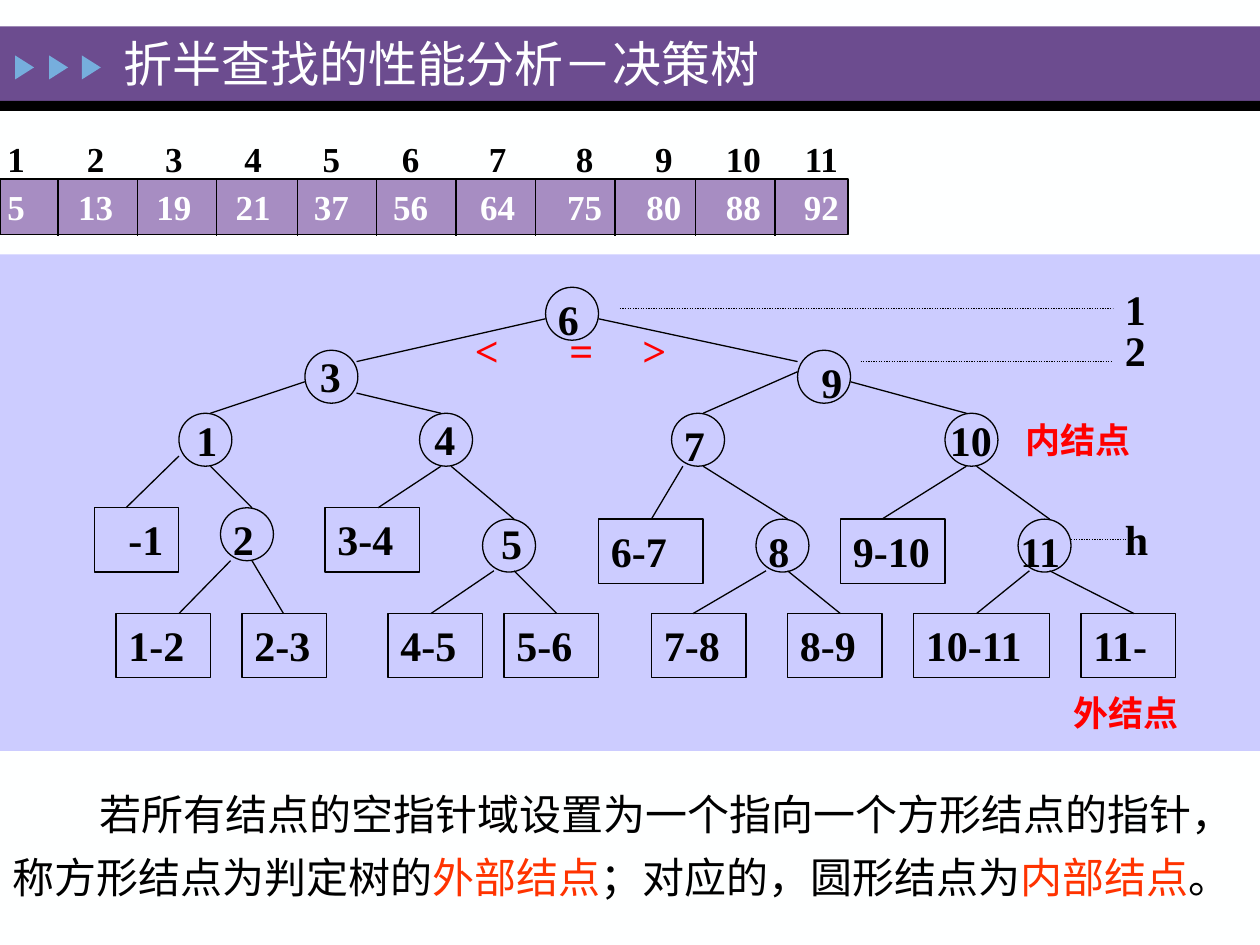
from typing import NamedTuple

from pptx import Presentation
from pptx.dml.color import RGBColor
from pptx.enum.dml import MSO_LINE
from pptx.enum.shapes import MSO_CONNECTOR, MSO_SHAPE
from pptx.enum.text import MSO_ANCHOR, MSO_AUTO_SIZE, PP_ALIGN
from pptx.oxml.ns import qn
from pptx.util import Inches, Pt
from lxml.etree import SubElement

FONT = "Times New Roman"
BLACK, WHITE, RED, ORANGE = "000000", "FEFFFF", "FF0000", "FF3300"
DIAMETER = 0.42


class Node(NamedTuple):
    """Inner node: circle corner, then the corner of its key's box."""
    key: str
    x: float
    y: float
    key_x: float
    key_y: float


class Leaf(NamedTuple):
    text: str
    x: float
    y: float
    width: float
    indent: float = 0


class Label(NamedTuple):
    text: str
    x: float
    y: float
    size: int = 24
    color: str = BLACK


class Line(NamedTuple):
    x1: float
    y1: float
    x2: float
    y2: float


NODES = [
    Node("6", 4.33, 2.28, 4.33, 2.28), Node("3", 2.42, 2.78, 2.44, 2.73),
    Node("9", 6.33, 2.78, 6.42, 2.78), Node("1", 1.42, 3.28, 1.46, 3.24),
    Node("4", 3.33, 3.28, 3.35, 3.23), Node("7", 5.33, 3.28, 5.33, 3.28),
    Node("10", 7.5, 3.28, 7.44, 3.24), Node("2", 1.75, 4.03, 1.75, 4.03),
    Node("5", 3.83, 4.12, 3.88, 4.06), Node("8", 6, 4.12, 6, 4.12),
    Node("11", 8.08, 4.12, 8, 4.12),
]
LEAVES = [
    Leaf("-1", 0.75, 4.03, 0.67, 0.17), Leaf("3-4", 2.58, 4.03, 0.75),
    Leaf("6-7", 4.75, 4.12, 0.83), Leaf("9-10", 6.67, 4.12, 0.83),
    Leaf("1-2", 0.92, 4.87, 0.75), Leaf("2-3", 1.92, 4.87, 0.67),
    Leaf("4-5", 3.08, 4.87, 0.75), Leaf("5-6", 4, 4.87, 0.75),
    Leaf("7-8", 5.17, 4.87, 0.75), Leaf("8-9", 6.25, 4.87, 0.75),
    Leaf("10-11", 7.25, 4.87, 1.08), Leaf("11-", 8.58, 4.87, 0.75),
]
EDGES = [
    Line(4.33, 2.53, 2.83, 2.87), Line(4.75, 2.53, 6.33, 2.87),
    Line(2.42, 3.03, 1.67, 3.28), Line(2.83, 3.12, 3.5, 3.28),
    Line(6.33, 2.95, 5.58, 3.28), Line(6.75, 3.03, 7.67, 3.28),
    Line(1.42, 3.62, 1, 4.03), Line(1.67, 3.7, 2, 4.03),
    Line(3.5, 3.7, 3, 4.03), Line(3.58, 3.7, 4.08, 4.12),
    Line(5.42, 3.7, 5.17, 4.12), Line(5.58, 3.7, 6.25, 4.12),
    Line(7.67, 3.7, 7, 4.12), Line(7.75, 3.7, 8.33, 4.12),
    Line(1.83, 4.45, 1.42, 4.87), Line(2, 4.45, 2.25, 4.87),
    Line(3.92, 4.53, 3.42, 4.87), Line(4.08, 4.53, 4.42, 4.87),
    Line(6.08, 4.53, 5.5, 4.87), Line(6.25, 4.53, 6.67, 4.87),
    Line(8.17, 4.53, 7.75, 4.87), Line(8.33, 4.53, 9, 4.87),
]
LEVEL_LINES = [Line(4.92, 2.45, 8.83, 2.45), Line(6.83, 2.87, 8.83, 2.87),
               Line(8.5, 4.28, 9, 4.28)]
LABELS = [
    Label("1", 8.83, 2.2), Label("2", 8.83, 2.53), Label("h", 8.83, 4.03),
    Label("外结点", 8.42, 5.44, 20, RED), Label("内结点", 8.04, 3.27, 20, RED),
    Label("<", 3.67, 2.53, 24, RED), Label("=", 4.42, 2.53, 24, RED),
    Label(">", 5, 2.53, 24, RED),
]
VALUES = [5, 13, 19, 21, 37, 56, 64, 75, 80, 88, 92]
COLUMN_CENTERS = [0.76, 1.38, 2.01, 2.63, 3.26, 3.95, 4.64, 5.27, 5.9, 6.52]
ARRAY_INSET = 0.06
EXPLANATION = [
    ("若所有结点的空指针域设置为一个指向一个方形结点的指针，称方形结点为判定树的", BLACK),
    ("外部结点", ORANGE), ("；对应的，圆形结点为", BLACK),
    ("内部结点", ORANGE), ("。", BLACK),
]


def rgb(color: str) -> RGBColor:
    return RGBColor.from_string(color)


def box(*lengths: float) -> list:
    return [Inches(v) for v in lengths]


def write(p, text: str, size: int, color: str, bold: bool = True) -> None:
    r = p.add_run()
    r.text = text
    for name, value in {"name": FONT, "size": Pt(size), "bold": bold}.items():
        setattr(r.font, name, value)
    r.font.color.rgb = rgb(color)


def set_frame(tf, **values) -> None:
    frame = {"word_wrap": True, "auto_size": MSO_AUTO_SIZE.NONE,
             "vertical_anchor": MSO_ANCHOR.TOP}
    for name, value in {**frame, **values}.items():
        setattr(tf, name, value)


def add_shape(s, kind, at: tuple, fill: str = "", outline: bool = False):
    sp = s.shapes.add_shape(kind, *box(*at))
    sp.shadow.inherit = False
    if fill:
        sp.fill.solid()
        sp.fill.fore_color.rgb = rgb(fill)
    else:
        sp.fill.background()
    if outline:
        sp.line.color.rgb = rgb(BLACK)
        sp.line.width = Pt(0.75)
    else:
        sp.line.fill.background()
    return sp


def add_line(s, line: Line, dotted: bool = False) -> None:
    c = s.shapes.add_connector(MSO_CONNECTOR.STRAIGHT, *box(*line))
    c.line.color.rgb = rgb(BLACK)
    c.line.width = Pt(0.75)
    if dotted:
        c.line.dash_style = MSO_LINE.ROUND_DOT
    SubElement(c.element.spPr, qn("a:effectLst"))


def add_label(s, label: Label) -> None:
    width = 1.08 if len(label.text) > 2 else 0.6
    tf = s.shapes.add_textbox(*box(label.x, label.y, width, 0.5)).text_frame
    set_frame(tf)
    write(tf.paragraphs[0], label.text, label.size, label.color)


def add_leaf(s, leaf: Leaf) -> None:
    sp = add_shape(s, MSO_SHAPE.RECTANGLE, (leaf.x, leaf.y, leaf.width, 0.51), outline=True)
    set_frame(sp.text_frame, margin_left=Inches(0.1 + leaf.indent), margin_right=0)
    p = sp.text_frame.paragraphs[0]
    p.alignment = PP_ALIGN.LEFT
    write(p, leaf.text, 24, BLACK)


def write_row(tf, items, color: str) -> None:
    """One line of items, centred on the array columns by tab stops."""
    set_frame(tf, vertical_anchor=MSO_ANCHOR.MIDDLE,
              margin_left=Inches(ARRAY_INSET), margin_right=0)
    p = tf.paragraphs[0]
    p.alignment = PP_ALIGN.LEFT
    tabs = SubElement(p._p.get_or_add_pPr(), qn("a:tabLst"))
    for center in COLUMN_CENTERS:
        SubElement(tabs, qn("a:tab"), pos=str(Inches(center - ARRAY_INSET)), algn="ctr")
    write(p, "\t".join(str(item) for item in items), 20, color)


def place(s, sp, at: tuple) -> None:
    """Position a placeholder and bring it to the front."""
    sp.left, sp.top, sp.width, sp.height = box(*at)
    s.shapes.element.append(sp.element)


def add_array(s) -> None:
    indices = s.shapes.add_textbox(*box(0, 1.04, 6.8, 0.43))
    write_row(indices.text_frame, range(1, len(VALUES) + 1), BLACK)
    cells = add_shape(s, MSO_SHAPE.RECTANGLE, (0, 1.42, 6.73, 0.44), "A78DC2", True)
    write_row(cells.text_frame, VALUES, WHITE)
    for i in range(len(VALUES) - 1):
        x = round(0.46 + i * 0.632, 2)
        add_line(s, Line(x, 1.42, x, 1.87))


def add_tree(s) -> None:
    add_shape(s, MSO_SHAPE.RECTANGLE, (0, 2.02, 10, 3.94), "CCCCFF")
    for node in NODES:
        add_shape(s, MSO_SHAPE.OVAL, (node.x, node.y, DIAMETER, DIAMETER), outline=True)
        add_label(s, Label(node.key, node.key_x, node.key_y))
    for leaf in LEAVES:
        add_leaf(s, leaf)
    for edge in EDGES:
        add_line(s, edge)
    for line in LEVEL_LINES:
        add_line(s, line, dotted=True)
    for label in LABELS:
        add_label(s, label)


def main() -> None:
    prs = Presentation()
    prs.slide_width, prs.slide_height = box(10, 7.5)
    s = prs.slides.add_slide(prs.slide_layouts[1])
    s.background.fill.solid()
    s.background.fill.fore_color.rgb = rgb(WHITE)
    title, body = s.placeholders

    add_shape(s, MSO_SHAPE.RECTANGLE, (0, 0.21, 10, 0.59), "6C4C8F")
    add_shape(s, MSO_SHAPE.RECTANGLE, (0, 0.8, 10, 0.08), BLACK)
    for x in (0.1, 0.37, 0.63):
        add_shape(s, MSO_SHAPE.ISOSCELES_TRIANGLE, (x, 0.46, 0.19, 0.15), "76AEDD").rotation = 90
    place(s, title, (0.88, 0.22, 8.12, 0.56))
    set_frame(title.text_frame, vertical_anchor=MSO_ANCHOR.MIDDLE)
    p = title.text_frame.paragraphs[0]
    p.alignment = PP_ALIGN.LEFT
    write(p, "折半查找的性能分析－决策树", 28, WHITE, bold=False)

    add_array(s)
    add_tree(s)

    place(s, body, (0, 6.11, 10, 1.06))
    set_frame(body.text_frame)
    p = body.text_frame.paragraphs[0]
    pPr = p._p.get_or_add_pPr()
    pPr.set("marL", "0")
    pPr.set("indent", str(Inches(0.69)))
    SubElement(pPr, qn("a:buNone"))
    p.line_spacing, p.space_before = 1.25, Pt(0)
    for text, color in EXPLANATION:
        write(p, text, 24, color, bold=False)
    prs.save("out.pptx")


if __name__ == "__main__":
    main()
